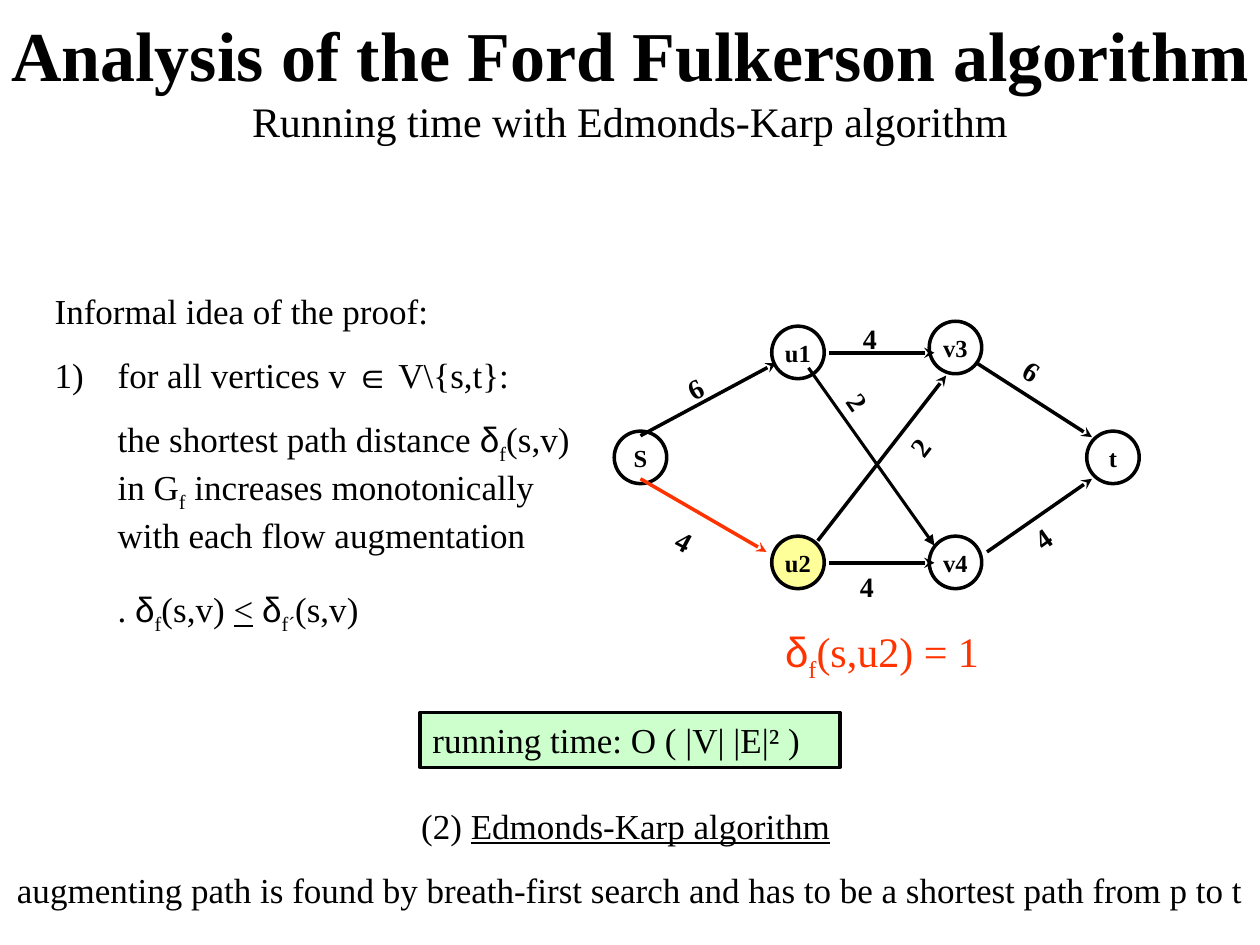
from lxml.etree import SubElement
from pptx import Presentation
from pptx.dml.color import RGBColor
from pptx.enum.shapes import MSO_CONNECTOR as LINE, MSO_SHAPE as SHAPE
from pptx.enum.text import MSO_ANCHOR as ANCHOR, MSO_AUTO_SIZE as FIT, PP_ALIGN as ALIGN
from pptx.oxml.ns import qn
from pptx.util import Pt

SERIF, SYMBOL_FONT = "Times New Roman", "Arial"
BLACK, WHITE, RED = "000000", "FFFFFF", "FF3300"
YELLOW, GREEN = "FFFF99", "CCFFCC"
NODE_SIZE = 30

NODES = [  # name, left, top, fill
    ("S", 351, 246.4, WHITE), ("t", 621, 246.4, WHITE),
    ("u1", 441, 186.4, WHITE), ("u2", 441, 306.4, YELLOW),
    ("v3", 531, 183.6, WHITE), ("v4", 531, 306.4, WHITE),
]
EDGES = [  # start, end, color, width, arrowhead
    ((474, 201.6), (534, 201.6), BLACK, 2, "stealth"),
    ((474, 321.6), (534, 321.6), BLACK, 2, "stealth"),
    ((366, 249), (443.5, 207.4), BLACK, 2, "stealth"),
    ((366, 273.6), (438, 315.4), RED, 2, "stealth"),
    ((467.3, 309), (540.7, 214.6), BLACK, 2, "stealth"),
    ((558, 207.4), (624, 249.8), BLACK, 2, "stealth"),
    ((564, 315.4), (624, 273.6), BLACK, 2, "stealth"),
    ((462, 210.2), (534, 311.8), BLACK, 1.75, "triangle"),
]
CAPACITIES = [  # value, left, top, rotation
    ("4", 378, 303.1, 27.9), ("4", 486, 180, 0), ("6", 384.5, 201.6, 333.1),
    ("4", 581.8, 285.1, 324.6), ("4", 484.3, 321.8, 0), ("6", 576, 207.4, 32.5),
    ("2", 508.3, 229.7, 307.4), ("2", 472.3, 229.7, 55.2),
]


def rgb(color):
    return RGBColor.from_string(color)


def box(left, top, width, height):
    return [Pt(value) for value in (left, top, width, height)]


def write(paragraph, text, size=20, color=BLACK, bold=False, underline=False,
          font=SERIF, baseline=0):
    run = paragraph.add_run()
    run.text = text
    run.font.size, run.font.name = Pt(size), font
    run.font.bold, run.font.underline = bold, underline
    run.font.color.rgb = rgb(color)
    if baseline:
        run.font._element.set("baseline", str(baseline * 1000))


def write_formula(paragraph, *parts, **style):
    """Write parts in turn: "_x" is a subscript x, and δ and ∈ use the symbol font."""
    for part in parts:
        if part.startswith("_"):
            write(paragraph, part[1:], baseline=-25, **style)
        else:
            write(paragraph, part, font=SYMBOL_FONT if part in "δ∈" else SERIF, **style)


def add_textbox(slide, left, top, width, height):
    frame = slide.shapes.add_textbox(*box(left, top, width, height)).text_frame
    frame.word_wrap = True
    return frame


def add_outlined(slide, preset, bounds, fill, width):
    shape = slide.shapes.add_shape(preset, *box(*bounds))
    shape.shadow.inherit = False
    shape.fill.solid()
    shape.fill.fore_color.rgb = rgb(fill)
    shape.line.color.rgb = rgb(BLACK)
    shape.line.width = Pt(width)
    return shape.text_frame


def add_node(slide, name, left, top, fill):
    frame = add_outlined(slide, SHAPE.OVAL, (left, top, NODE_SIZE, NODE_SIZE), fill, 2)
    frame.word_wrap = False
    frame.vertical_anchor = ANCHOR.MIDDLE
    label = frame.paragraphs[0]
    label.alignment = ALIGN.CENTER
    write(label, name, size=14, bold=True)


def add_edge(slide, start, end, color, width, arrowhead):
    edge = slide.shapes.add_connector(
        LINE.STRAIGHT, *[Pt(value) for value in start + end])
    edge.line.color.rgb = rgb(color)
    edge.line.width = Pt(width)
    properties = edge._element.spPr
    SubElement(properties.find(qn("a:ln")), qn("a:tailEnd"), type=arrowhead)
    SubElement(properties, qn("a:effectLst"))


def add_capacity(slide, value, left, top, rotation):
    frame = add_textbox(slide, left, top, 54, 26.6)
    write(frame.paragraphs[0], value, size=16, bold=True)
    frame._parent.rotation = rotation


def place(placeholder, bounds, anchor):
    placeholder.left, placeholder.top, placeholder.width, placeholder.height = box(*bounds)
    frame = placeholder.text_frame
    frame.auto_size = FIT.NONE
    frame.word_wrap = True
    frame.vertical_anchor = anchor
    return frame


def fill_title(title):
    heading = place(title, (-9, 0, 738, 90), ANCHOR.MIDDLE).paragraphs[0]
    heading.alignment = ALIGN.CENTER
    write(heading, "Analysis of the Ford Fulkerson algorithm", size=40, bold=True)
    heading.add_line_break()
    write(heading, "Running time with Edmonds-Karp algorithm", size=24)


def format_item(item, space_before, hanging, numbered=False):
    item.space_before = Pt(space_before)
    properties = item._p.get_or_add_pPr()
    properties.set("marL", str(Pt(36)))
    properties.set("indent", str(Pt(-36 if hanging else 0)))
    if numbered:
        SubElement(properties, qn("a:buFont"), typeface=SERIF)
        SubElement(properties, qn("a:buAutoNum"), type="arabicParenR")
    else:
        SubElement(properties, qn("a:buNone"))


def fill_proof(body):
    frame = place(body, (24, 162, 318, 205), ANCHOR.TOP)
    intro = frame.paragraphs[0]
    claim, distance, inequality = [frame.add_paragraph() for _ in range(3)]
    format_item(intro, 0, hanging=True)
    format_item(claim, 12.5, hanging=True, numbered=True)
    format_item(distance, 12.5, hanging=False)
    format_item(inequality, 18.5, hanging=False)

    write(intro, "Informal idea of the proof:")
    write_formula(claim, "for all vertices v ", "∈", " V\\{s,t}:")
    write_formula(distance, "the shortest path distance ", "δ", "_f", "(s,v) in G", "_f",
                  " increases monotonically with each flow augmentation")
    write_formula(inequality, ". ", "δ", "_f", "(s,v) ")
    write(inequality, "<", underline=True)
    write_formula(inequality, " ", "δ", "_f´", "(s,v)")


def add_conclusions(slide):
    running_time = add_outlined(slide, SHAPE.RECTANGLE, (240, 407, 240, 31.5), GREEN, 1.75)
    running_time.vertical_anchor = ANCHOR.TOP
    running_time.paragraphs[0].alignment = ALIGN.LEFT
    write(running_time.paragraphs[0], "running time: O ( |V| |E|² )")

    distance = add_textbox(slide, 402, 354, 204, 40).paragraphs[0]
    distance.alignment = ALIGN.CENTER
    write_formula(distance, "δ", "_f", "(s,u2) = 1", size=24, color=RED)

    summary = add_textbox(slide, -12, 456, 744, 67.5)
    method, rule = summary.paragraphs[0], summary.add_paragraph()
    method.alignment = rule.alignment = ALIGN.CENTER
    rule.space_before = Pt(12.5)
    write(method, "(2) ")
    write(method, "Edmonds-Karp algorithm", underline=True)
    write(method, " ")
    write(rule, "augmenting path is found by breath-first search "
                "and has to be a shortest path from p to t")


def main():
    deck = Presentation()
    deck.slide_width, deck.slide_height = Pt(720), Pt(540)
    slide = deck.slides.add_slide(deck.slide_layouts[1])
    fill_title(slide.shapes.title)
    fill_proof(slide.placeholders[1])
    for node in NODES:
        add_node(slide, *node)
    for edge in EDGES:
        add_edge(slide, *edge)
    for capacity in CAPACITIES:
        add_capacity(slide, *capacity)
    add_conclusions(slide)
    deck.save("out.pptx")


if __name__ == "__main__":
    main()
